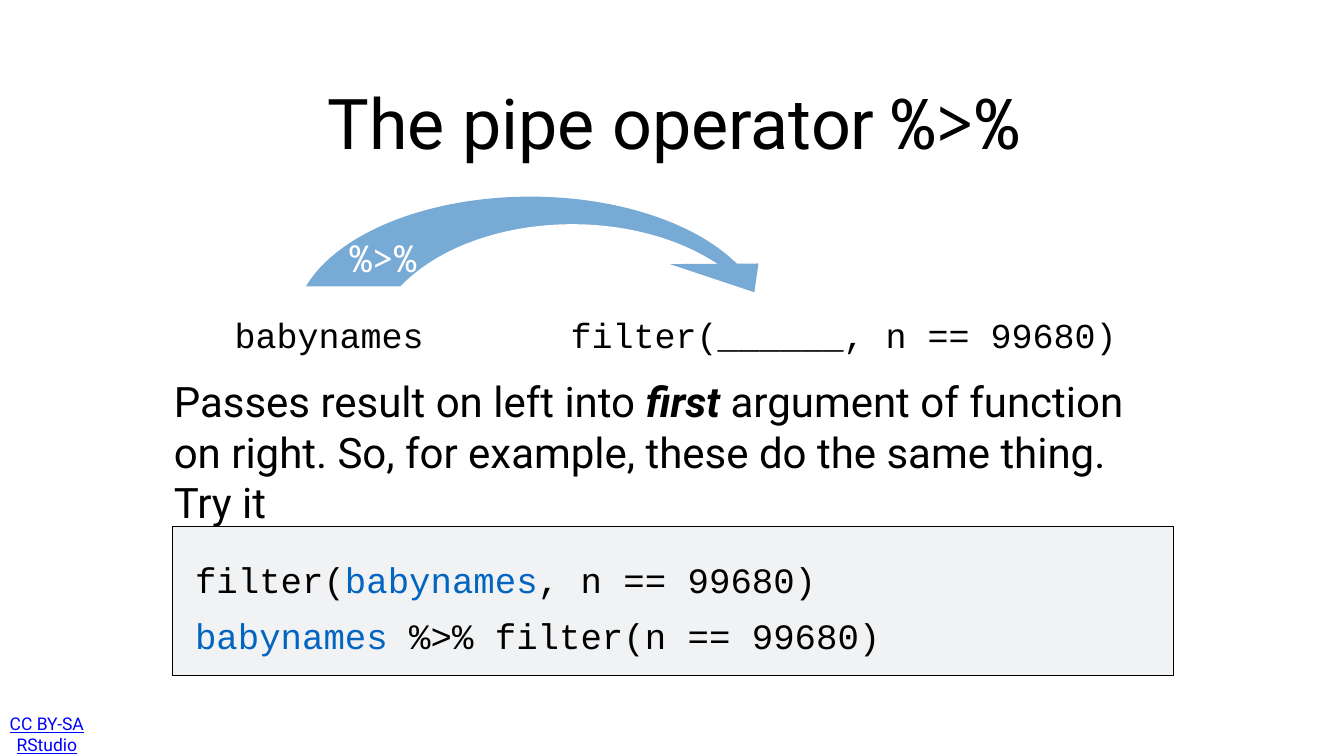
from dataclasses import dataclass
from typing import Optional

from lxml.etree import SubElement
from pptx import Presentation
from pptx.dml.color import RGBColor
from pptx.enum.shapes import MSO_SHAPE as SHAPE
from pptx.enum.text import MSO_ANCHOR as ANCHOR, PP_ALIGN as ALIGN
from pptx.oxml.ns import qn
from pptx.util import Cm, Pt

BLACK, WHITE = "000000", "FFFFFF"
ARROW, PANEL, NAME, LINK = "78AAD6", "F0F2F4", "0365C0", "0000FF"
SANS, MONO, CODE = "Roboto", "Noto Sans Mono", "Courier New"


@dataclass
class Box:
    x: float
    y: float
    w: float
    h: float

    def emu(self) -> tuple:
        return Cm(self.x), Cm(self.y), Cm(self.w), Cm(self.h)


@dataclass
class Run:
    text: str
    color: Optional[str] = None
    font: Optional[str] = None
    emphasis: bool = False


@dataclass
class Text:
    box: Box
    lines: list[list[Run]]
    size: float
    font: str
    color: str = BLACK
    align: ALIGN = ALIGN.LEFT
    inset: float = 0.2
    spacing: float = 1.0
    tab: Optional[float] = None
    underline: bool = False


def rgb(value: str) -> RGBColor:
    return RGBColor.from_string(value)


def paint(sp, fill: str, line: Optional[str] = None) -> None:
    sp.shadow.inherit = False
    sp.fill.solid()
    sp.fill.fore_color.rgb = rgb(fill)
    if line:
        sp.line.color.rgb = rgb(line)
        sp.line.width = Pt(1)
    else:
        sp.line.fill.background()


def add_shape(shapes, kind: SHAPE, box: Box, fill: str,
              line: Optional[str] = None) -> None:
    paint(shapes.add_shape(kind, *box.emu()), fill, line)


def add_arrowhead(shapes, points: list[tuple[float, float]]) -> None:
    start, *rest = [(Cm(x), Cm(y)) for x, y in points]
    builder = shapes.build_freeform(*start)
    builder.add_line_segments(rest, close=True)
    paint(builder.convert_to_shape(), ARROW)


def add_run(p, run: Run) -> None:
    r = p.add_run()
    r.text = run.text
    if run.color:
        r.font.color.rgb = rgb(run.color)
    if run.font:
        r.font.name = run.font
    if run.emphasis:
        r.font.bold = r.font.italic = True


def add_text(shapes, text: Text) -> None:
    tf = shapes.add_textbox(*text.box.emu()).text_frame
    tf.word_wrap = True
    tf.vertical_anchor = ANCHOR.MIDDLE
    tf.margin_left = tf.margin_right = Cm(text.inset)
    tf.margin_top = tf.margin_bottom = Cm(text.inset)
    for i, line in enumerate(text.lines):
        p = tf.add_paragraph() if i else tf.paragraphs[0]
        p.alignment = text.align
        p.line_spacing = text.spacing
        if text.tab:
            tabs = SubElement(p._p.get_or_add_pPr(), qn("a:tabLst"))
            SubElement(tabs, qn("a:tab"), pos=str(Cm(text.tab)), algn="l")
        p.font.size = Pt(text.size)
        p.font.name = text.font
        p.font.color.rgb = rgb(text.color)
        if text.underline:
            p.font.underline = True
        for run in line:
            add_run(p, run)


def main() -> None:
    prs = Presentation()
    prs.slide_width, prs.slide_height = Cm(67.74), Cm(38.1)
    shapes = prs.slides.add_slide(prs.slide_layouts[6]).shapes

    add_shape(shapes, SHAPE.OVAL, Box(14.83, 9.91, 23.8, 13.13), ARROW)
    add_shape(shapes, SHAPE.OVAL, Box(18.69, 11.3, 20.32, 13.13), WHITE)
    add_shape(shapes, SHAPE.RECTANGLE, Box(12.75, 14.43, 29.13, 8.28), WHITE)
    add_arrowhead(shapes, [(33.76, 13.31), (38.23, 13.28), (38.02, 14.73)])
    add_shape(shapes, SHAPE.RECTANGLE, Box(8.69, 26.52, 50.44, 7.54), PANEL, BLACK)

    texts = [
        Text(Box(0.2, 35.78, 4.32, 2.4), [[Run("CC BY-SA RStudio")]], 25, SANS,
             LINK, ALIGN.CENTER, underline=True),
        Text(Box(17.42, 11.61, 5.46, 2.72), [[Run("%>%")]], 53, MONO, WHITE),
        Text(Box(11.63, 15.54, 48, 2.62),
             [[Run("babynames\tfilter(______, n == 99680)")]], 50, CODE, tab=16.93),
        Text(Box(11.18, 2.79, 45.47, 6.65),
             [[Run("The pipe operator "), Run("%>%", font=MONO)]], 100, SANS,
             align=ALIGN.CENTER, inset=0.15),
        Text(Box(9.63, 27.33, 47.83, 5.89),
             [[Run("filter("), Run("babynames", NAME), Run(", n == 99680)")],
              [Run("babynames", NAME), Run(" %>% filter(n == 99680)")]],
             51, CODE, spacing=1.3),
        Text(Box(8.61, 19.25, 50.44, 7.01),
             [[Run("Passes result on left into "), Run("first", emphasis=True),
               Run(" argument of function on right. So, for example, "
                   "these do the same thing. Try it")]],
             60, SANS, inset=0.15),
    ]
    for text in texts:
        add_text(shapes, text)

    prs.save("out.pptx")


if __name__ == "__main__":
    main()
